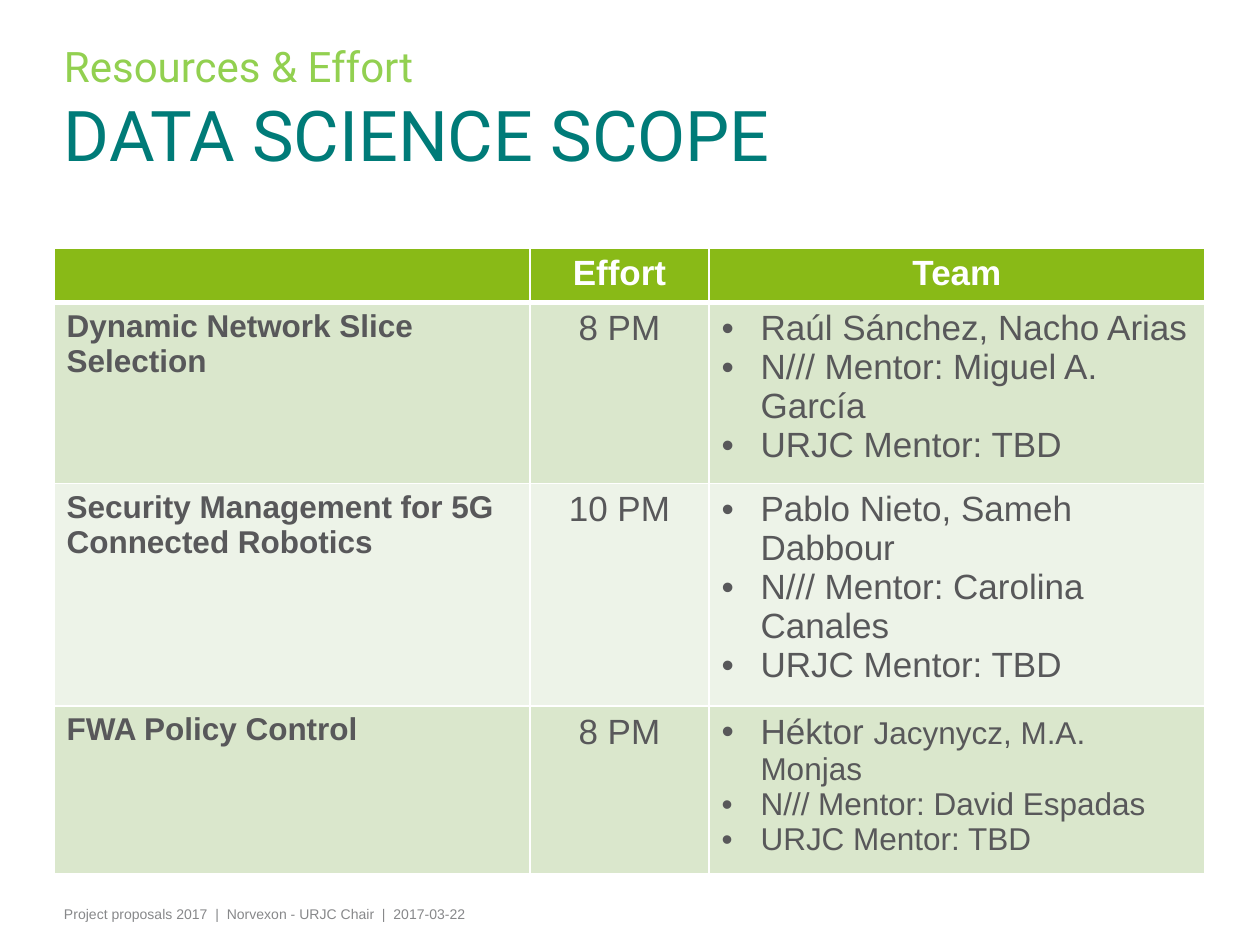
"""Build the data science scope slide with its effort and team table."""
from lxml import etree
from pptx import Presentation
from pptx import util as u
from pptx.dml.color import RGBColor
from pptx.enum import text
from pptx.oxml.ns import qn

THEME = dict(
    sans="Arial", head="Roboto",
    lime="92D050", teal="007B78", grey="87888A", ink="58585A", white="FFFFFF",
    green="89BA17", bands=("DAE7CC", "EDF3E8"),
    kicker=24, title=40, body=20, small=18, foot=8,
)
KICKER, TITLE = "Resources & Effort", "DATA SCIENCE SCOPE"
FOOTER = "Project proposals 2017  |  Norvexon - URJC Chair  |  2017-03-22"
HEADS = ("", "Effort", "Team")
big, small = THEME["body"], THEME["small"]
ROWS = [
    ("Dynamic Network Slice Selection", "8 PM",
     [[("Raúl Sánchez, Nacho Arias", big)],
      [("N/// Mentor: Miguel A. García", big)],
      [("URJC Mentor: TBD", big)]]),
    ("Security Management for 5G Connected Robotics", "10 PM",
     [[("Pablo Nieto, Sameh Dabbour", big)],
      [("N/// Mentor: Carolina Canales", big)],
      [("URJC Mentor: TBD", big)]]),
    ("FWA Policy Control", "8 PM",
     [[("Héktor ", big), ("Jacynycz, M.A. Monjas", small)],
      [("N/// Mentor: David Espadas", small)],
      [("URJC Mentor: TBD", small)]]),
]
COLS, HIGHS = (476, 179, 496), (52, 169, 208, 157)
LEFT, TOP, INDENT = 54, 248, 39


def px(n):
    return u.Emu(round(n * 914400 / 126))


def write(para, words, size=big, color=THEME["ink"], font=THEME["sans"],
          bold=False, align=None):
    run = para.add_run()
    run.text = words
    run.font.size, run.font.name, run.font.bold = u.Pt(size), font, bold
    run.font.color.rgb = RGBColor.from_string(color)
    if align is not None:
        para.alignment = align


def box(x, y, w, h, pad, anchor):
    frame = slide.shapes.add_textbox(px(x), px(y), px(w), px(h)).text_frame
    frame.word_wrap, frame.vertical_anchor = True, anchor
    frame.margin_left = frame.margin_right = px(10)
    frame.margin_top = frame.margin_bottom = px(pad)
    return frame.paragraphs[0]


def bullet(para):
    props = para._p.get_or_add_pPr()
    props.set("marL", str(px(INDENT)))
    props.set("indent", str(px(-INDENT)))
    etree.SubElement(props, qn("a:buFont")).set("typeface", THEME["sans"])
    etree.SubElement(props, qn("a:buChar")).set("char", "•")


def paint(cell, fill, top, base):
    props = cell._tc.get_or_add_tcPr()
    for side, width in (("L", 1), ("R", 1), ("T", top), ("B", base)):
        line = etree.SubElement(props, qn(f"a:ln{side}"), w=str(u.Pt(width)))
        solid = etree.SubElement(line, qn("a:solidFill"))
        etree.SubElement(solid, qn("a:srgbClr"), val=THEME["white"])
    cell.fill.solid()
    cell.fill.fore_color.rgb = RGBColor.from_string(fill)


deck = Presentation()
deck.slide_width, deck.slide_height = px(1260), px(945)
slide = deck.slides.add_slide(deck.slide_layouts[6])
mid = text.PP_ALIGN.CENTER

write(box(LEFT, 900, 1019, 30, 6, text.MSO_ANCHOR.TOP), FOOTER,
      size=THEME["foot"], color=THEME["grey"])
para = box(LEFT, 33, 1033, 150, 0, text.MSO_ANCHOR.MIDDLE)
write(para, KICKER, size=THEME["kicker"], color=THEME["lime"], font=THEME["head"])
para.add_line_break()
write(para, TITLE, size=THEME["title"], color=THEME["teal"], font=THEME["head"])

table = slide.shapes.add_table(len(HIGHS), len(COLS), px(LEFT), px(TOP),
                               px(sum(COLS)), px(sum(HIGHS))).table
for col, wide in zip(table.columns, COLS):
    col.width = px(wide)
for row, high in zip(table.rows, HIGHS):
    row.height = px(high)

for cell, head in zip(table.rows[0].cells, HEADS):
    paint(cell, THEME["green"], 1, 3)
    if head:
        write(cell.text_frame.paragraphs[0], head, color=THEME["white"],
              bold=True, align=mid)

for i, (name, effort, team) in enumerate(ROWS):
    cells = list(table.rows[i + 1].cells)
    for cell in cells:
        paint(cell, THEME["bands"][i % 2], 1 if i else 3, 1)
    write(cells[0].text_frame.paragraphs[0], name, size=small, bold=True)
    write(cells[1].text_frame.paragraphs[0], effort, align=mid)
    frame = cells[2].text_frame
    for j, runs in enumerate(team):
        para = frame.add_paragraph() if j else frame.paragraphs[0]
        bullet(para)
        for words, size in runs:
            write(para, words, size=size)

deck.save("out.pptx")
